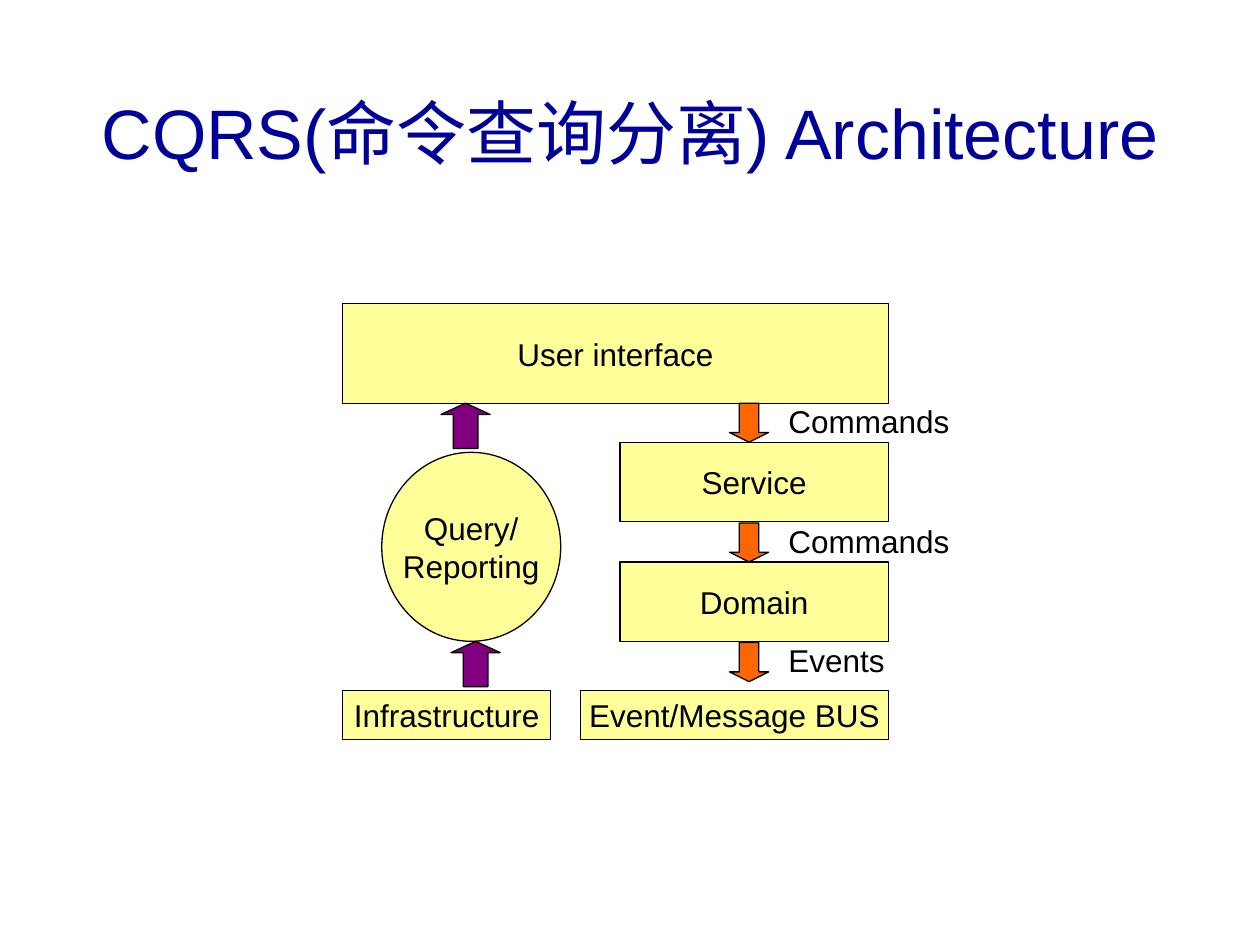
from pptx import Presentation
from pptx.dml.color import RGBColor
from pptx.enum.shapes import MSO_SHAPE as Shape
from pptx.enum.text import MSO_ANCHOR as Anchor, MSO_AUTO_SIZE as Fit
from pptx.enum.text import PP_ALIGN as Align
from pptx.util import Inches, Pt


def color(part, code):
    """Set the hex colour of a font or a fill."""
    if hasattr(part, "solid"):
        part.solid()
        part = part.fore_color
    else:
        part = part.color
    part.rgb = RGBColor.from_string(code)


def write(shape, text, size=18, ink="000000", align=Align.CENTER,
          anchor=Anchor.MIDDLE, wrap=False, fit=Fit.NONE):
    """Write each line of text as one paragraph of the shape."""
    frame = shape.text_frame
    frame.word_wrap = wrap
    frame.auto_size = fit
    frame.vertical_anchor = anchor
    frame.text = text
    for para in frame.paragraphs:
        para.alignment = align
        para.font.name = "Arial"
        para.font.size = Pt(size)
        color(para.font, ink)


def place(slide, kind, box, fill="FFFF99", text=""):
    """Add an outlined shape with optional text."""
    shape = slide.shapes.add_shape(kind, *map(Inches, box))
    shape.shadow.inherit = False
    color(shape.fill, fill)
    color(shape.line.fill, "000000")
    shape.line.width = Pt(0.75)
    if text:
        write(shape, text)
    return shape


def label(slide, box, text, **style):
    """Add a text box."""
    write(slide.shapes.add_textbox(*map(Inches, box)), text, **style)


def arrow(slide, kind, box, fill):
    """Add a block arrow with a short head."""
    shape = place(slide, kind, box, fill)
    shape.adjustments[0] = 0.5
    shape.adjustments[1] = 0.25


def reads(slide, left, top):
    """Build the query side, from the store up to the interface."""
    place(slide, Shape.RECTANGLE, (left, top + 2.28, 1.65, 0.39),
          text="Infrastructure")
    place(slide, Shape.OVAL, (left + 0.31, top + 0.39, 1.42, 1.5),
          text="Query/\nReporting")
    for dx, dy in ((0.78, 0), (0.86, 1.89)):
        arrow(slide, Shape.UP_ARROW, (left + dx, top + dy, 0.39, 0.36),
              "800080")


def writes(slide, left, top, right):
    """Build the command side, from the interface down to the bus."""
    step, gap = 0.95, 0.31
    for i, name in enumerate(("Service", "Domain")):
        place(slide, Shape.RECTANGLE,
              (left, top + gap + i * step, right - left, 0.63), text=name)
    place(slide, Shape.RECTANGLE,
          (left - 0.31, top + 2.28, right - left + 0.31, 0.39),
          text="Event/Message BUS")
    notes = (("Commands", 1.5), ("Commands", 1.5), ("Events", 1))
    for i, (name, width) in enumerate(notes):
        y = top + i * step
        arrow(slide, Shape.DOWN_ARROW, (left + 0.87, y, gap, gap), "FF6600")
        label(slide, (left + 1.24, y - 0.06, width, 0.4), name,
              align=Align.LEFT, anchor=Anchor.TOP, fit=Fit.SHAPE_TO_FIT_TEXT)


def diagram(slide, left, top, width):
    """Build the interface bar and the two sides below it."""
    high = 0.79
    place(slide, Shape.RECTANGLE, (left, top, width, high),
          text="User interface")
    reads(slide, left, top + high)
    writes(slide, left + 2.2, top + high, left + width)


def main():
    """Build and save the slide."""
    deck = Presentation()
    deck.slide_width, deck.slide_height = Inches(10), Inches(7.5)
    slide = deck.slides.add_slide(deck.slide_layouts[6])
    label(slide, (0.33, 0.42, 9.34, 1.25), "CQRS(命令查询分离) Architecture",
          size=40, ink="000099", wrap=True)
    diagram(slide, 2.72, 2.41, 4.33)
    deck.save("out.pptx")


if __name__ == "__main__":
    main()
